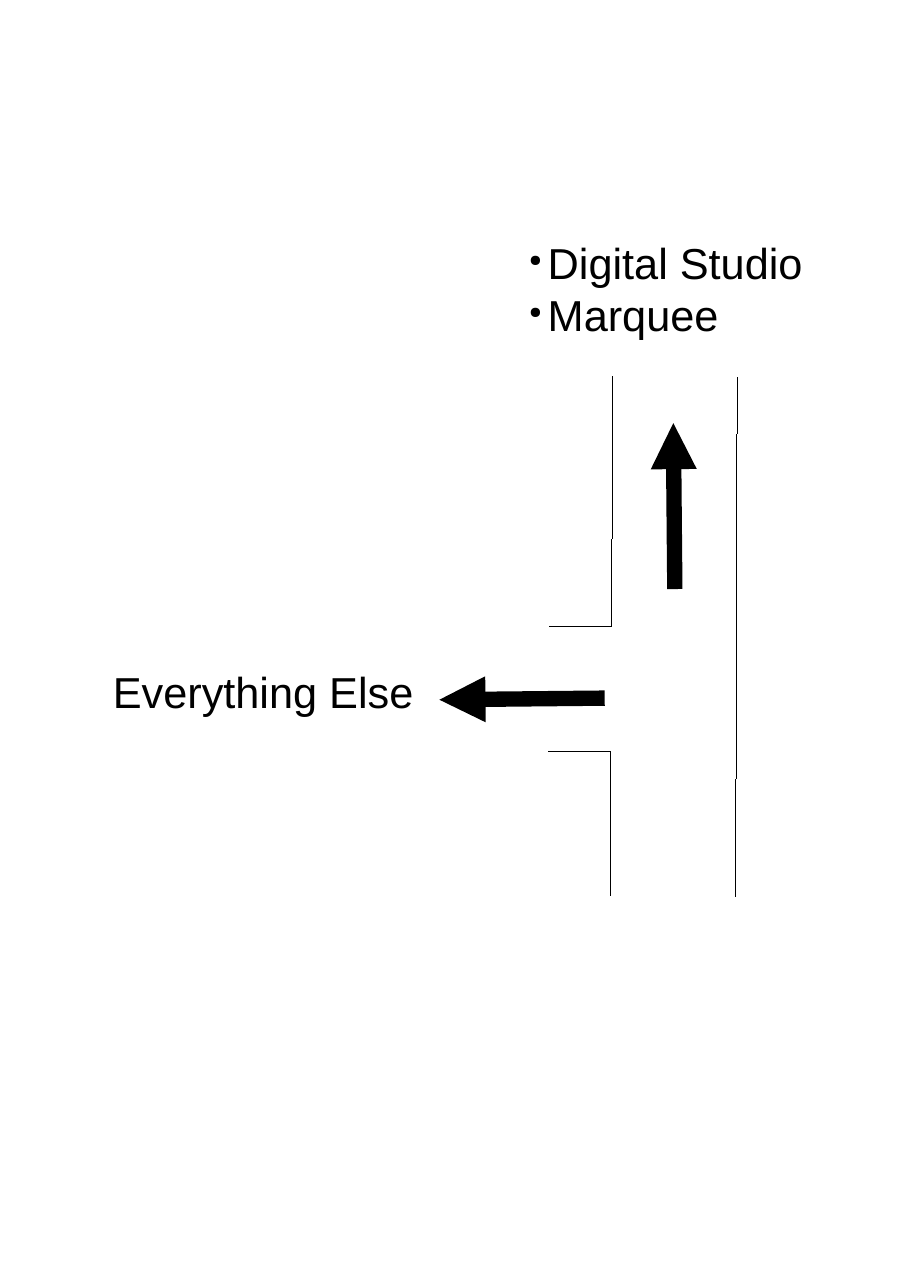
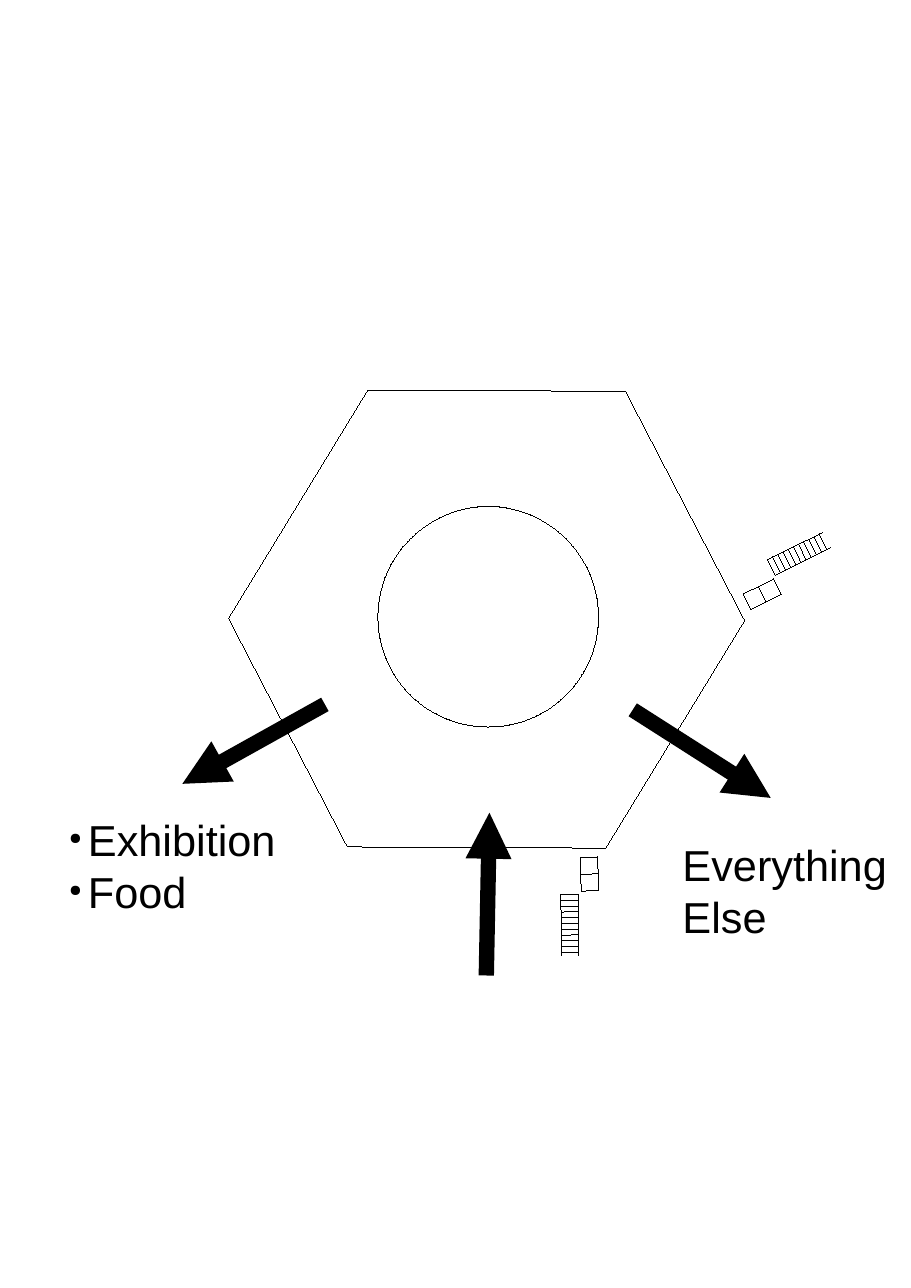
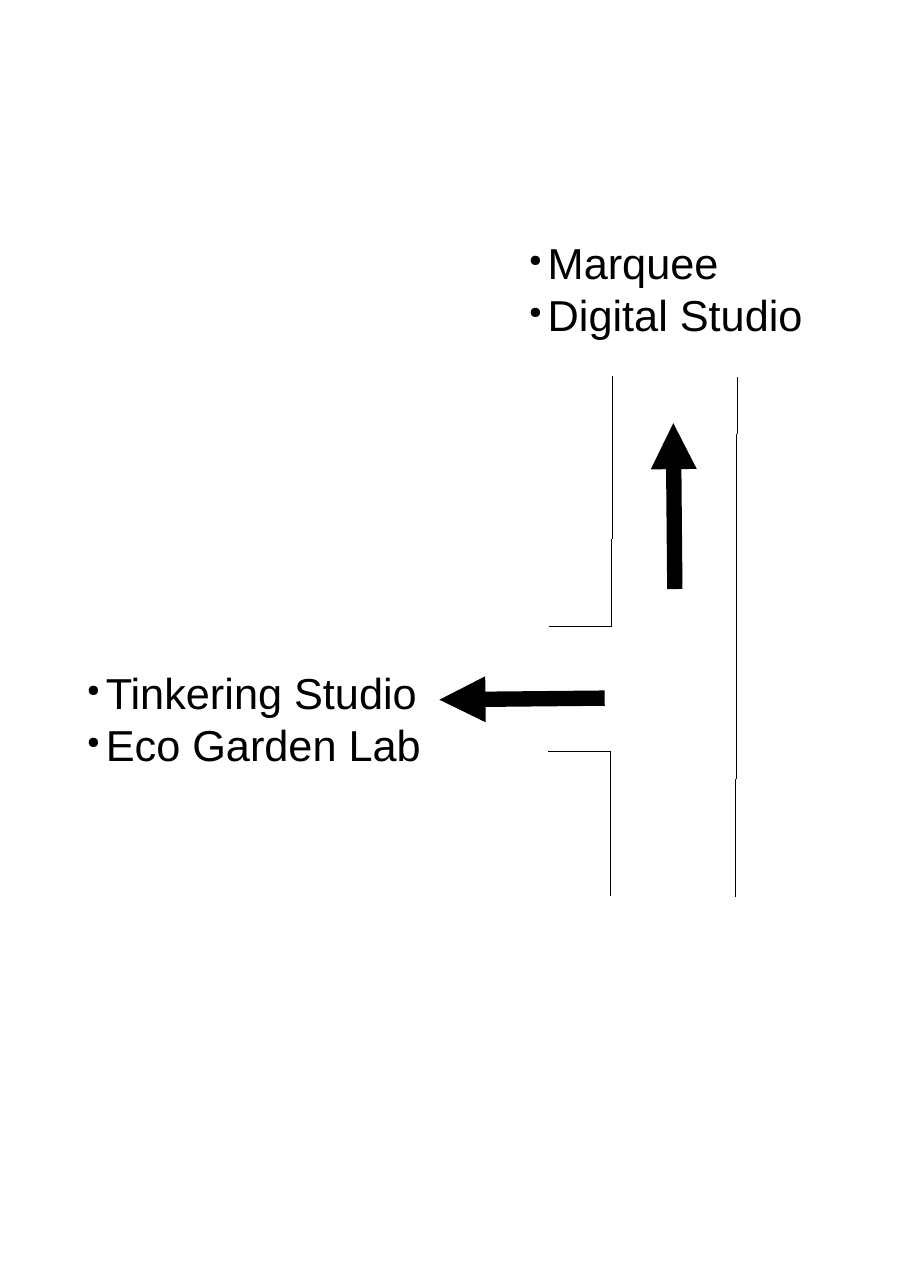
from dataclasses import dataclass
from math import cos, radians, sin

from lxml.etree import SubElement
from pptx import Presentation
from pptx.dml.color import RGBColor
from pptx.enum.shapes import MSO_CONNECTOR, MSO_SHAPE
from pptx.oxml.ns import qn
from pptx.util import Pt


@dataclass(frozen=True)
class Theme:
    ink: RGBColor = RGBColor(0, 0, 0)
    paper: RGBColor = RGBColor(255, 255, 255)
    font: str = "Arial"
    size: float = 40
    hair: float = 0
    bold: float = 14.17
    indent: float = 17.28
    dot: str = "37000"


THEME = Theme()
STREET = (406, 348)
HALL = (203, 368)


def stroke(shape, width):
    shape.line.color.rgb = THEME.ink
    shape.line._get_or_add_ln().set("w", str(Pt(width)))


def line(slide, start, end, width=THEME.hair):
    link = slide.shapes.add_connector(
        MSO_CONNECTOR.STRAIGHT, *(Pt(v) for v in (*start, *end)))
    stroke(link, width)
    SubElement(link._element.spPr, qn("a:effectLst"))
    return link


def arrow(slide, start, end):
    link = line(slide, start, end, THEME.bold)
    SubElement(link.line._get_or_add_ln(), qn("a:tailEnd"), type="triangle")


def bullet(para):
    props = para._p.get_or_add_pPr()
    gap = Pt(THEME.indent)
    props.set("marL", str(gap))
    props.set("indent", str(-gap))
    color = SubElement(props, qn("a:buClr"))
    SubElement(color, qn("a:srgbClr"), val=str(THEME.ink))
    SubElement(props, qn("a:buSzPct"), val=THEME.dot)
    SubElement(props, qn("a:buChar"), char="●")


def label(slide, box, lines, dots=False):
    frame = slide.shapes.add_textbox(*(Pt(v) for v in box)).text_frame
    frame.word_wrap = True
    frame.text = "\n".join(lines)
    for para in frame.paragraphs:
        if dots:
            bullet(para)
        para.font.name = THEME.font
        para.font.size = Pt(THEME.size)
        para.font.color.rgb = THEME.ink


def outline(slide, kind, box, angle=0):
    shape = slide.shapes.add_shape(kind, *(Pt(v) for v in box))
    shape.rotation = angle
    shape.shadow.inherit = False
    shape.fill.solid()
    shape.fill.fore_color.rgb = THEME.paper
    stroke(shape, THEME.hair)
    return shape


def ladder(slide, left, top, angle, length, count, step, width=16):
    dx, dy = cos(radians(angle)), sin(radians(angle))

    def point(along, across):
        return left + along * dx - across * dy, top + along * dy + across * dx

    for side in (0, width):
        line(slide, point(0, side), point(length, side))
    for rung in range(count):
        line(slide, point(rung * step, 0), point(rung * step, width))


def stairs(slide, left, top, angle):
    ladder(slide, left, top, angle, 56.6, 11, 5.33)


def lift(slide, left, top, angle):
    ladder(slide, left, top, angle, 31.2, 3, 15.6)


def street(slide, left, top):
    def at(x, y):
        return left + x, top + y

    walls = [
        (at(275.1, 0.5), at(273.7, 480)),
        (at(159.9, 0), at(159.2, 230.9)),
        (at(101.6, 230.9), at(159.2, 230.9)),
        (at(100.9, 346.1), at(158.5, 346.1)),
        (at(158.5, 346.1), at(158.5, 479.3)),
    ]
    for start, end in walls:
        line(slide, start, end)
    arrow(slide, at(152.7, 297.1), at(0, 298.6))
    arrow(slide, at(217.5, 196.3), at(216.1, 43))


def hall(slide, left, top):
    def at(x, y):
        return left + x, top + y

    room = outline(slide, MSO_SHAPE.HEXAGON, (*at(0, 0), 493.2, 408.2), 301.4)
    room.adjustments[0] = 0.302
    outline(slide, MSO_SHAPE.OVAL, (*at(146.2, 100), 203.8, 203.8))
    arrow(slide, at(381.6, 287.9), at(509.1, 369.3))
    arrow(slide, at(97.2, 282.9), at(-34.5, 356.3))
    arrow(slide, at(246.3, 533.4), at(249.2, 383))
    stairs(slide, *at(331.2, 458.6), 89.4)
    lift(slide, *at(349.3, 423.9), 88.8)
    stairs(slide, *at(506.2, 149), -26.3)
    lift(slide, *at(483.8, 180.7), -26.3)


def corner(slide, ahead, aside, box, dots):
    street(slide, *STREET)
    label(slide, box, aside, dots)
    label(slide, (481.7, 214.8, 300, 96.5), ahead, True)


def lobby(slide):
    hall(slide, *HALL)
    label(slide, (623.5, 771.1, 210, 96.5), ["Everything", "Else"])
    label(slide, (56.9, 748.1, 230, 96.5), ["Exhibition", "Food"], True)


def main():
    deck = Presentation()
    deck.slide_width, deck.slide_height = Pt(841.68), Pt(1190.16)
    blank = deck.slide_layouts[6]
    first, second, third = (deck.slides.add_slide(blank) for _ in range(3))
    corner(first, ["Digital Studio", "Marquee"], ["Everything Else"],
           (97.2, 611.3, 300, 51.8), False)
    lobby(second)
    corner(third, ["Marquee", "Digital Studio"],
           ["Tinkering Studio", "Eco Garden Lab"],
           (73.4, 612, 340, 96.5), True)
    deck.save("out.pptx")


if __name__ == "__main__":
    main()
